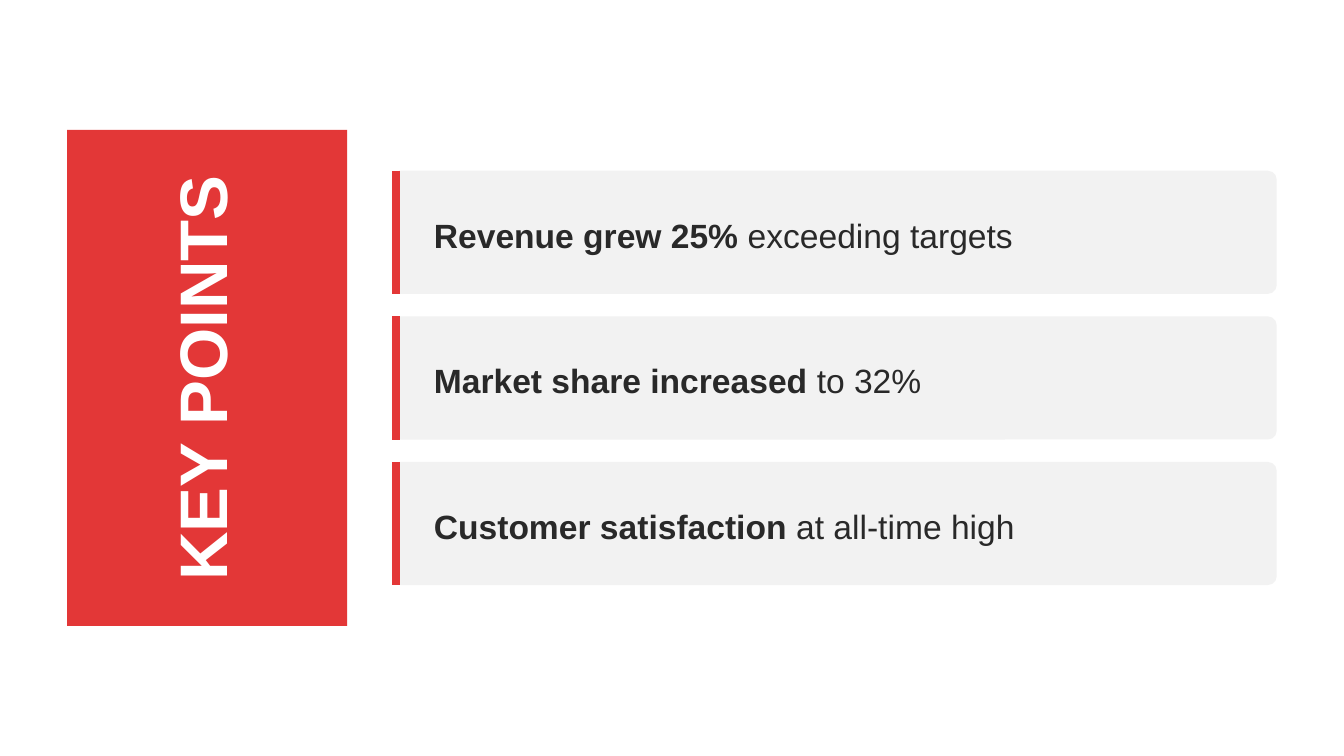
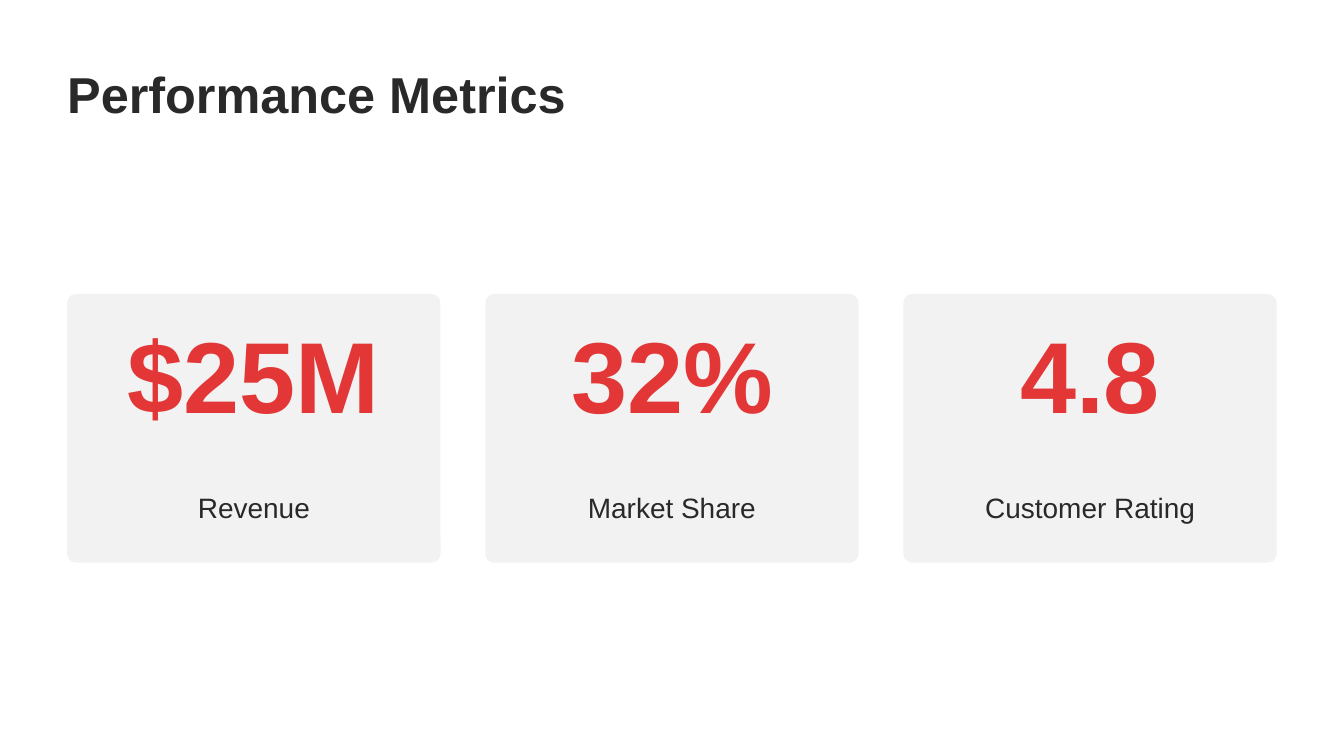
"""Build the key points slide and the performance metrics slide."""
from dataclasses import dataclass

from lxml.etree import SubElement
from pptx import Presentation
from pptx.dml.color import RGBColor
from pptx.enum.shapes import MSO_CONNECTOR as Connector, MSO_SHAPE as Shape
from pptx.enum.text import MSO_ANCHOR as Anchor, MSO_AUTO_SIZE as AutoSize, PP_ALIGN as Align
from pptx.oxml.ns import qn
from pptx.util import Inches, Pt

COLORS = {"accent": "E33737", "card": "F2F2F2", "ink": "292929", "paper": "FFFFFF"}
FONT = "Arial"
CELL = Inches(1) / 12
CORNER = 0.8
TITLE_ONLY = 5
FRAME = {"margin_left": 0, "margin_top": 0, "margin_right": 0, "margin_bottom": 0,
         "word_wrap": True, "auto_size": AutoSize.NONE, "vertical_anchor": Anchor.TOP}
STYLES = {
    "band": {"size": 36, "line": 36, "after": 0, "color": "paper", "align": Align.CENTER},
    "title": {"size": 27, "line": 30, "after": 0, "color": "ink", "align": Align.LEFT},
    "point": {"size": 18, "line": 24, "after": 3, "color": "ink", "align": Align.LEFT},
    "value": {"size": 54, "line": 54, "after": 3, "color": "accent", "align": Align.CENTER},
    "label": {"size": 15, "line": 21, "after": 3, "color": "ink", "align": Align.CENTER},
}
POINTS = [("Revenue grew 25%", " exceeding targets"),
          ("Market share increased", " to 32%"),
          ("Customer satisfaction", " at all-time high")]
METRICS = [("$25M", 23, "Revenue", 10.2),
           ("32%", 18.4, "Market Share", 15.4),
           ("4.8", 12.7, "Customer Rating", 19.1)]


@dataclass
class Box:
    """A rectangle in grid cells of a twelfth of an inch."""
    left: float
    top: float
    width: float
    height: float

    def within(self, left, top, width, height):
        """Return a box placed relative to this one."""
        return Box(self.left + left, self.top + top, width, height)

    def centered(self, top, width, height):
        """Return a box centred across this one."""
        return self.within((self.width - width) / 2, top, width, height)

    def rows(self, count, gap):
        """Split the box into equal rows."""
        height = (self.height - gap * (count - 1)) / count
        return [self.within(0, i * (height + gap), self.width, height) for i in range(count)]

    def columns(self, count, gap):
        """Split the box into equal columns."""
        width = (self.width - gap * (count - 1)) / count
        return [self.within(i * (width + gap), 0, width, self.height) for i in range(count)]

    def emu(self):
        """Return left, top, width and height as slide lengths."""
        return [round(n * CELL) for n in (self.left, self.top, self.width, self.height)]


PAGE = Box(0, 0, 120, 67.5)


def color(name):
    """Look up a palette colour."""
    return RGBColor.from_string(COLORS[name])


def apply(target, values):
    """Set attributes from a dict."""
    for name, value in values.items():
        setattr(target, name, value)


def write(shape, runs, style):
    """Write (text, bold) runs as one styled paragraph."""
    look = STYLES[style]
    apply(shape.text_frame, FRAME)
    paragraph = shape.text_frame.paragraphs[0]
    apply(paragraph, {"alignment": look["align"], "line_spacing": Pt(look["line"]),
                      "space_before": Pt(0), "space_after": Pt(look["after"])})
    for text, bold in runs:
        run = paragraph.add_run()
        run.text = text
        apply(run.font, {"name": FONT, "size": Pt(look["size"]), "bold": bold})
        run.font.color.rgb = color(look["color"])


def add_text(slide, box, runs, style):
    """Add a text box."""
    write(slide.shapes.add_textbox(*box.emu()), runs, style)


def add_panel(slide, kind, box, fill):
    """Add a flat filled shape."""
    shape = slide.shapes.add_shape(kind, *box.emu())
    shape.shadow.inherit = False
    shape.fill.solid()
    shape.fill.fore_color.rgb = color(fill)
    shape.line.fill.background()
    return shape


def add_card(slide, box):
    """Add a grey card with the shared corner radius."""
    card = add_panel(slide, Shape.ROUNDED_RECTANGLE, box, "card")
    card.adjustments[0] = CORNER / min(box.width, box.height)


def add_rule(slide, box):
    """Add the accent line down the left edge of a box."""
    left, top, _, height = box.within(0.37, 0, 0, box.height).emu()
    line = slide.shapes.add_connector(Connector.STRAIGHT, left, top, left, top + height)
    line.line.color.rgb = color("accent")
    line.line.width = Pt(4.5)
    SubElement(line.element.spPr, qn("a:effectLst"))


def set_title(slide, box, text, style):
    """Place and fill the title placeholder."""
    title = slide.shapes.title
    apply(title, dict(zip(("left", "top", "width", "height"), box.emu())))
    write(title, [(text, True)], style)
    return title


def title_band(slide, box, text):
    """Fill a band and run the title up its middle."""
    band = add_panel(slide, Shape.RECTANGLE, box, "accent")
    title = set_title(slide, box.centered((box.height - 6) / 2, 37, 6), text, "band")
    title.rotation = 270
    title.element.addprevious(band.element)


def point_card(slide, box, lead, rest):
    """Draw one key point with its accent line."""
    add_card(slide, box)
    add_rule(slide, box)
    add_text(slide, box.within(3.75, 3.5, 73.7, 4), [(lead, True), (rest, False)], "point")


def metric_card(slide, box, value, value_width, label, label_width):
    """Draw one metric with its label."""
    add_card(slide, box)
    add_text(slide, box.centered(3.5, value_width, 9), [(value, True)], "value")
    add_text(slide, box.centered(17, label_width, 3.5), [(label, False)], "label")


def add_slide(presentation):
    """Add a slide on the shared background."""
    slide = presentation.slides.add_slide(presentation.slide_layouts[TITLE_ONLY])
    slide.background.fill.solid()
    slide.background.fill.fore_color.rgb = color("paper")
    return slide


def key_points_slide(presentation):
    """Build the slide of key points."""
    slide = add_slide(presentation)
    title_band(slide, PAGE.within(6, 11.6, 25, 44.3), "KEY POINTS")
    stack = PAGE.within(35, 15.25, 79, 37)
    for box, point in zip(stack.rows(len(POINTS), 2), POINTS):
        point_card(slide, box, *point)


def metrics_slide(presentation):
    """Build the slide of metrics."""
    slide = add_slide(presentation)
    set_title(slide, PAGE.within(6, 6, 55.2, 5), "Performance Metrics", "title")
    row = PAGE.within(6, 26.25, 108, 24)
    for box, metric in zip(row.columns(len(METRICS), 4), METRICS):
        metric_card(slide, box, *metric)


def main():
    """Build and save the presentation."""
    presentation = Presentation()
    _, _, width, height = PAGE.emu()
    apply(presentation, {"slide_width": width, "slide_height": height})
    key_points_slide(presentation)
    metrics_slide(presentation)
    presentation.save("out.pptx")


if __name__ == "__main__":
    main()
